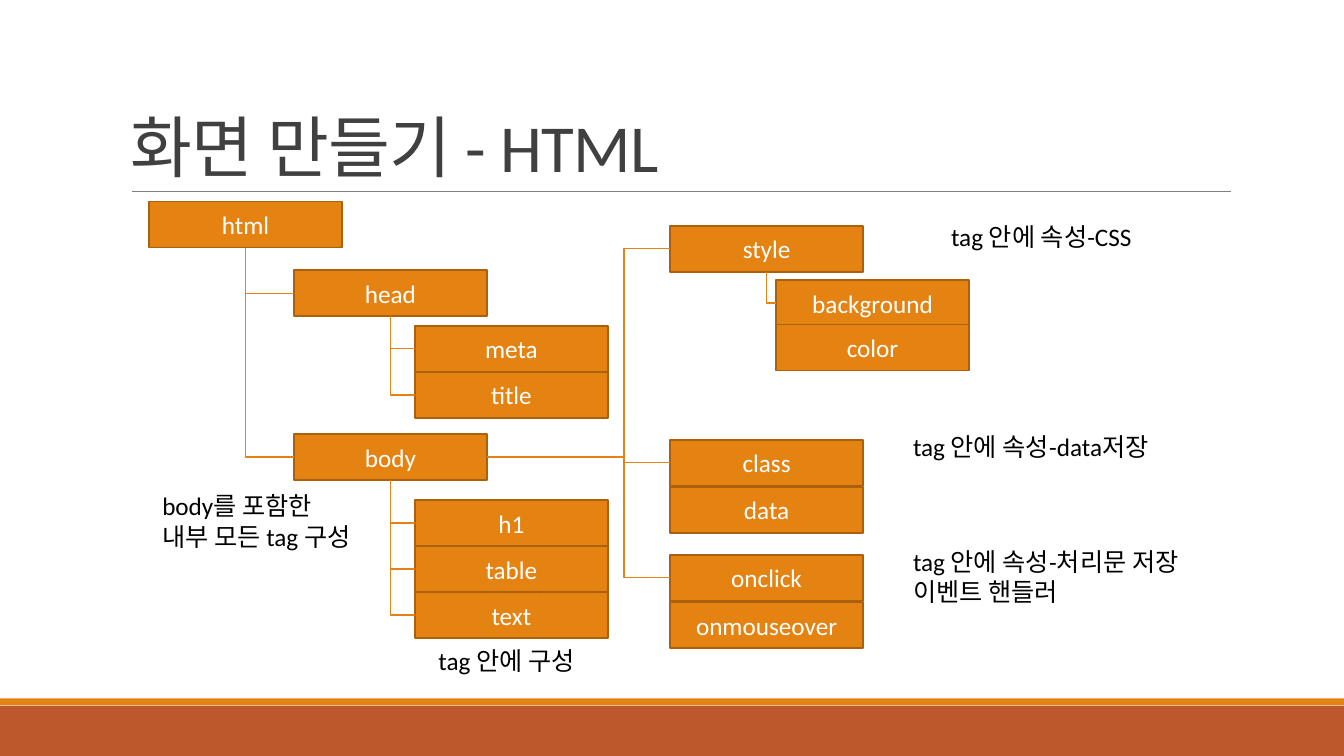
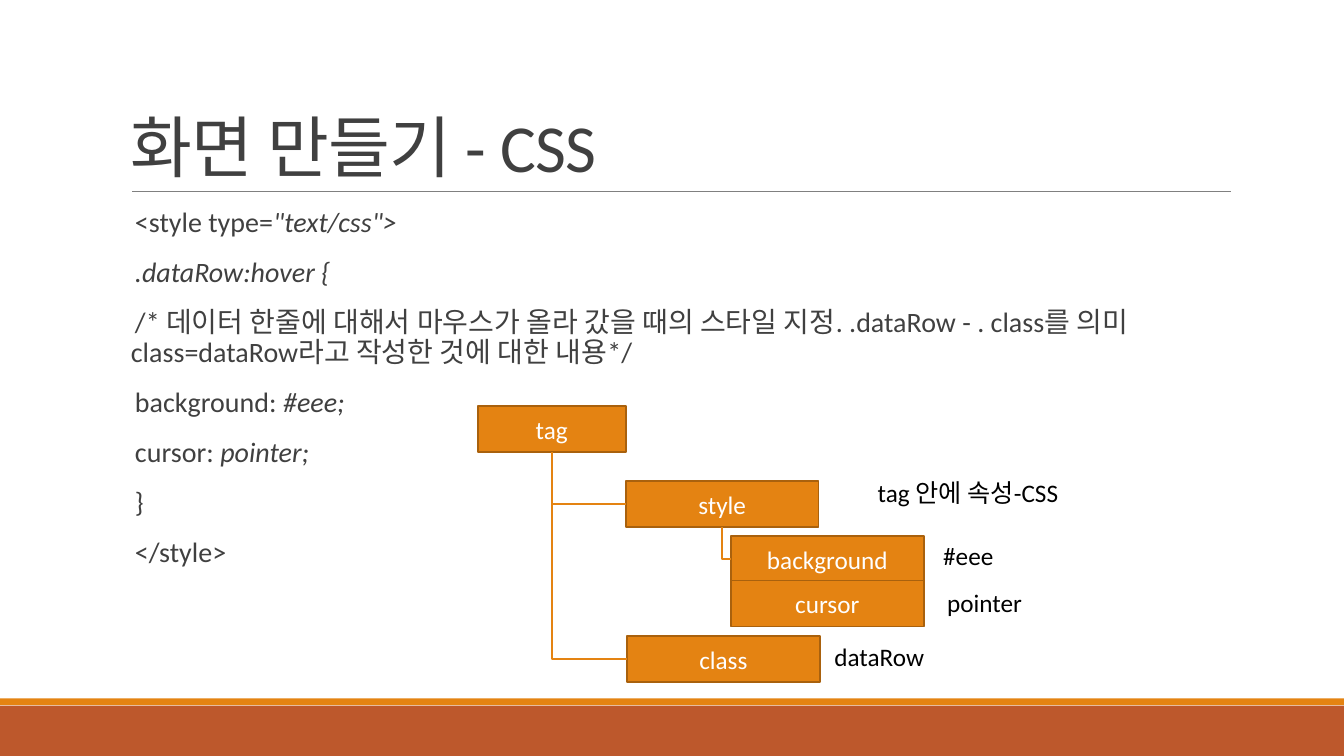
"""Build two slides that explain HTML and CSS with tag trees."""
from dataclasses import dataclass
from typing import Any, Optional

from lxml import etree
from pptx import Presentation
from pptx import util as u
from pptx.dml.color import RGBColor
from pptx.enum import shapes, text
from pptx.oxml.ns import qn


@dataclass(frozen=True)
class Theme:
    """Colours, font, type sizes and line widths of the deck."""
    font: str = "Calibri"
    orange: str = "E48312"
    rust: str = "BD582C"
    outline: str = "A9610D"
    rule: str = "808080"
    ink: str = "404040"
    black: str = "000000"
    white: str = "FFFFFF"
    title_size: float = 48
    body_size: float = 20
    label_size: float = 18
    box_line: float = 1.25
    link_line: float = 1
    rule_line: float = 0.5


@dataclass(frozen=True)
class Box:
    """A place on the slide, in centimetres."""
    left: float
    top: float
    width: float
    height: float

    def lengths(self) -> tuple:
        """Return left, top, width and height as lengths."""
        return tuple(u.Cm(value) for value in
                     (self.left, self.top, self.width, self.height))


@dataclass(frozen=True)
class Stack:
    """Tree nodes one below the other; the first few hang on a parent."""
    names: tuple
    left: float
    top: float
    parent: Optional[str] = None
    linked: int = 1
    from_side: bool = False
    pitch: float = 1.16
    width: float = 4.86


@dataclass(frozen=True)
class Note:
    """A plain remark beside the tree."""
    lines: tuple
    left: float
    top: float
    width: float


@dataclass(frozen=True)
class Page:
    """The content of one slide."""
    title: str
    stacks: tuple
    notes: tuple
    code: tuple = ()


THEME = Theme()
SLIDE_WIDTH, SLIDE_HEIGHT = 33.87, 19.05
NODE_HEIGHT = 1.16
SIDE_BEND = 74900
BOTTOM, LEFT, RIGHT = 2, 1, 3
BANDS = ((Box(0, 17.78, SLIDE_WIDTH, 1.27), THEME.rust),
         (Box(0, 17.6, SLIDE_WIDTH, 0.17), THEME.orange))
TITLE_BOX = Box(3.05, 0.78, 27.94, 4.04)
CODE_BOX = Box(3.05, 5.13, 27.94, 11.18)
RULE_LEFT, RULE_RIGHT, RULE_TOP = 3.33, 31.01, 4.83

PAGES = (
    Page(
        "화면 만들기 - HTML",
        stacks=(
            Stack(("html",), 3.76, 5.08),
            Stack(("head",), 7.41, 6.81, "html"),
            Stack(("body",), 7.41, 10.94, "html"),
            Stack(("meta", "title"), 10.46, 8.21, "head", linked=2),
            Stack(("h1", "table", "text"), 10.46, 12.6, "body", linked=3),
            Stack(("style",), 16.89, 5.69, "body", from_side=True),
            Stack(("class", "data"), 16.89, 11.08, "body", from_side=True, pitch=1.19),
            Stack(("onclick", "onmouseover"), 16.89, 13.98, "body",
                  from_side=True, pitch=1.19),
            Stack(("background", "color"), 19.56, 7.06, "style", pitch=1.12),
        ),
        notes=(
            Note(("tag 안에 속성-data저장",), 22.76, 10.74, 6.81),
            Note(("tag 안에 구성",), 10.8, 16.13, 4.19),
            Note(("tag 안에 속성-처리문 저장", "이벤트 핸들러"), 22.76, 13.64, 7.75),
            Note(("body를 포함한", "내부 모든 tag 구성"), 3.84, 12.24, 5.62),
            Note(("tag 안에 속성-CSS",), 23.72, 5.44, 5.31),
        ),
    ),
    Page(
        "화면 만들기 - CSS",
        stacks=(
            Stack(("tag",), 12.04, 10.24, width=3.73),
            Stack(("style",), 15.77, 12.12, "tag"),
            Stack(("class",), 15.8, 16.03, "tag"),
            Stack(("background", "cursor"), 18.42, 13.51, "style", pitch=1.12),
        ),
        notes=(
            Note(("tag 안에 속성-CSS",), 21.87, 11.91, 5.31),
            Note(("#eee",), 23.52, 13.49, 1.82),
            Note(("pointer",), 23.62, 14.68, 2.42),
            Note(("dataRow",), 20.78, 16.03, 2.8),
        ),
        code=(
            ("<style type=", '"text/css">'),
            ("", ".dataRow:hover {"),
            ("/* 데이터 한줄에 대해서 마우스가 올라 갔을 때의 스타일 지정. .dataRow - . class를 의미 "
             "class=dataRow라고 작성한 것에 대한 내용*/", ""),
            ("background: ", "#eee;"),
            ("cursor: ", "pointer;"),
            ("}", ""),
            ("</style>", ""),
        ),
    ),
)


def apply_format(target: Any, values: dict) -> None:
    """Set every named attribute of the target."""
    for name, value in values.items():
        setattr(target, name, value)


def add_run(paragraph: Any, words: str, size: float, color: str,
            italic: bool = False) -> Any:
    """Add a run in the theme font and return it."""
    run = paragraph.add_run()
    run.text = words
    apply_format(run.font, {"name": THEME.font, "size": u.Pt(size), "italic": italic})
    run.font.color.rgb = RGBColor.from_string(color)
    return run


def add_rectangle(slide: Any, box: Box, fill: str, outline: Optional[str] = None) -> Any:
    """Add a flat rectangle, outlined on request."""
    shape = slide.shapes.add_shape(shapes.MSO_SHAPE.RECTANGLE, *box.lengths())
    shape.shadow.inherit = False
    shape.fill.solid()
    shape.fill.fore_color.rgb = RGBColor.from_string(fill)
    if outline:
        shape.line.color.rgb = RGBColor.from_string(outline)
        shape.line.width = u.Pt(THEME.box_line)
    else:
        shape.line.fill.background()
    return shape


def add_text_frame(slide: Any, box: Box, values: dict) -> Any:
    """Add a wrapping text box and return its text frame."""
    frame = slide.shapes.add_textbox(*box.lengths()).text_frame
    apply_format(frame, {"word_wrap": True, **values})
    return frame


def style_line(connector: Any, color: str, width: float) -> None:
    """Colour a connector and remove its shadow."""
    connector.line.color.rgb = RGBColor.from_string(color)
    connector.line.width = u.Pt(width)
    etree.SubElement(connector._element.spPr, qn("a:effectLst"))


def add_frame(slide: Any, title: str) -> None:
    """Draw the bands, the rule and the title that all slides share."""
    for box, color in BANDS:
        add_rectangle(slide, box, color)
    rule = slide.shapes.add_connector(
        shapes.MSO_CONNECTOR.STRAIGHT, u.Cm(RULE_LEFT), u.Cm(RULE_TOP),
        u.Cm(RULE_RIGHT), u.Cm(RULE_TOP))
    style_line(rule, THEME.rule, THEME.rule_line)
    frame = add_text_frame(slide, TITLE_BOX,
                           {"vertical_anchor": text.MSO_ANCHOR.BOTTOM})
    paragraph = frame.paragraphs[0]
    paragraph.line_spacing = 0.85
    run = add_run(paragraph, title, THEME.title_size, THEME.ink)
    run.font._element.set("spc", "-50")


def add_code(slide: Any, lines: tuple) -> None:
    """Write code lines, each a plain part followed by an italic part."""
    frame = add_text_frame(slide, CODE_BOX, {"margin_left": 0, "margin_right": 0})
    for index, parts in enumerate(lines):
        paragraph = frame.add_paragraph() if index else frame.paragraphs[0]
        apply_format(paragraph, {"line_spacing": 0.9, "space_before": u.Pt(12),
                                 "space_after": u.Pt(2)})
        properties = paragraph._p.get_or_add_pPr()
        hanging = u.Cm(0.25)
        properties.set("marL", str(hanging))
        properties.set("indent", str(-hanging))
        etree.SubElement(properties, qn("a:buChar")).set("char", " ")
        for words, italic in zip(parts, (False, True)):
            if words:
                add_run(paragraph, words, THEME.body_size, THEME.ink, italic)


def add_node(slide: Any, name: str, box: Box) -> Any:
    """Draw one labelled tree node."""
    shape = add_rectangle(slide, box, THEME.orange, THEME.outline)
    shape.text_frame.vertical_anchor = text.MSO_ANCHOR.MIDDLE
    paragraph = shape.text_frame.paragraphs[0]
    paragraph.alignment = text.PP_ALIGN.CENTER
    add_run(paragraph, name, THEME.label_size, THEME.white)
    return shape


def add_link(slide: Any, parent: Any, child: Any, from_side: bool) -> None:
    """Join parent and child with an elbow from the parent's side or bottom."""
    connector = slide.shapes.add_connector(shapes.MSO_CONNECTOR.ELBOW, 0, 0, 0, 0)
    connector.begin_connect(parent, RIGHT if from_side else BOTTOM)
    connector.end_connect(child, LEFT)
    properties = connector._element.spPr
    geometry = properties.find(qn("a:prstGeom"))
    if from_side:
        guides = geometry.find(qn("a:avLst"))
        if guides is None:
            guides = etree.SubElement(geometry, qn("a:avLst"))
        guide = etree.SubElement(guides, qn("a:gd"))
        guide.set("name", "adj1")
        guide.set("fmla", f"val {SIDE_BEND}")
    else:
        left, top = connector.begin_x, connector.begin_y
        across, down = connector.end_x - left, connector.end_y - top
        apply_format(connector, {
            "left": left + (across - down) // 2, "top": top + (down - across) // 2,
            "width": down, "height": across})
        geometry.set("prst", "bentConnector2")
        transform = properties.find(qn("a:xfrm"))
        transform.set("rot", "16200000")
        transform.set("flipH", "1")
    style_line(connector, THEME.orange, THEME.link_line)


def add_tree(slide: Any, stacks: tuple) -> None:
    """Draw the stacks of nodes and their links."""
    nodes: dict = {}
    for stack in stacks:
        for index, name in enumerate(stack.names):
            box = Box(stack.left, stack.top + index * stack.pitch,
                      stack.width, NODE_HEIGHT)
            nodes[name] = add_node(slide, name, box)
            if stack.parent and index < stack.linked:
                add_link(slide, nodes[stack.parent], nodes[name], stack.from_side)


def add_note(slide: Any, note: Note) -> None:
    """Write a remark, one paragraph a line."""
    box = Box(note.left, note.top, note.width, 0.26 + 0.77 * len(note.lines))
    frame = add_text_frame(slide, box, {"auto_size": text.MSO_AUTO_SIZE.SHAPE_TO_FIT_TEXT})
    for index, words in enumerate(note.lines):
        paragraph = frame.add_paragraph() if index else frame.paragraphs[0]
        add_run(paragraph, words, THEME.label_size, THEME.black)


def main() -> None:
    """Build and save the presentation."""
    presentation = Presentation()
    apply_format(presentation, {"slide_width": u.Cm(SLIDE_WIDTH),
                                "slide_height": u.Cm(SLIDE_HEIGHT)})
    for page in PAGES:
        slide = presentation.slides.add_slide(presentation.slide_layouts[6])
        add_frame(slide, page.title)
        if page.code:
            add_code(slide, page.code)
        add_tree(slide, page.stacks)
        for note in page.notes:
            add_note(slide, note)
    presentation.save("out.pptx")


main()
